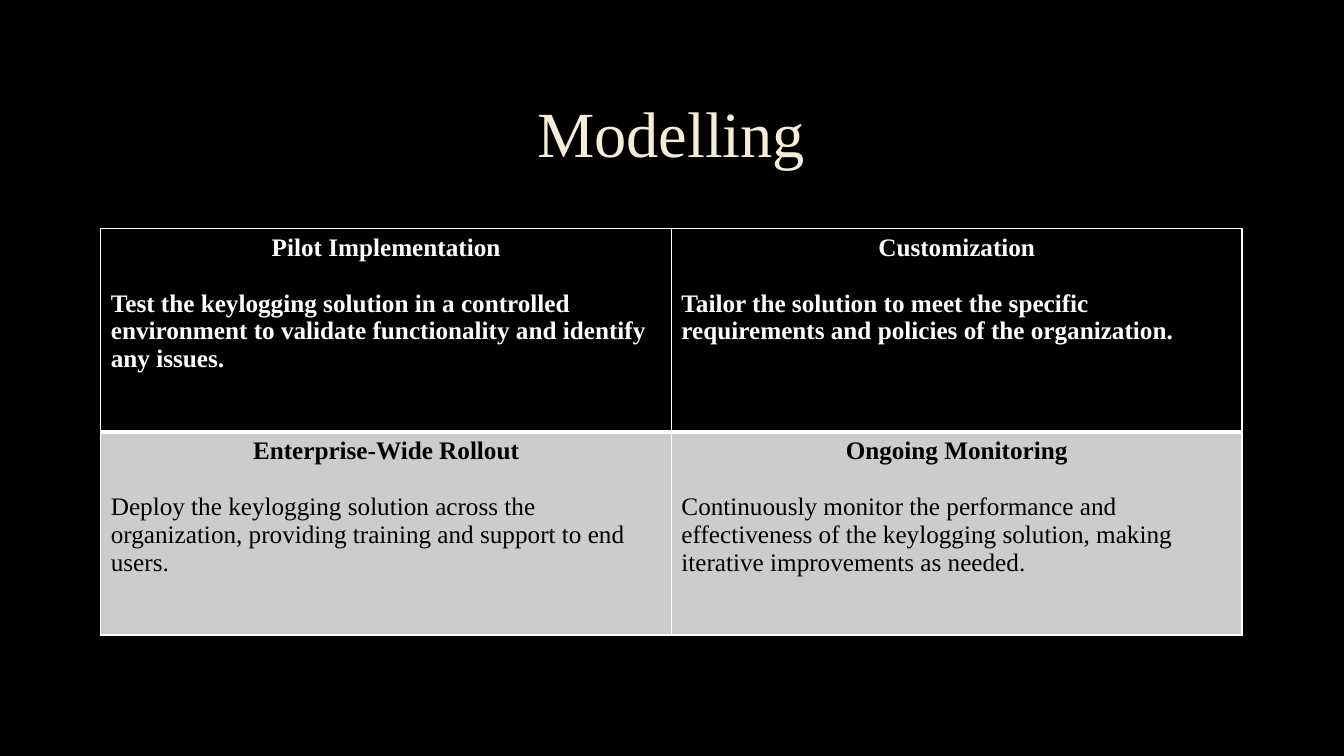
from pptx import Presentation
from pptx.dml.color import RGBColor
from pptx.enum.text import MSO_ANCHOR as Anchor, PP_ALIGN as Align
from pptx.oxml import parse_xml
from pptx.oxml.ns import nsdecls
from pptx.util import Cm, Pt


def color(value):
    return RGBColor.from_string(value)


def add_span(para, text, size, ink, bold=False):
    span = para.add_run()
    span.text = text
    span.font.name = "Times New Roman"
    span.font.size = Pt(size)
    span.font.bold = bold
    span.font.color.rgb = color(ink)
    return span


deck = Presentation()
deck.slide_width, deck.slide_height = Cm(33.87), Cm(19.05)
page = deck.slides.add_slide(deck.slide_layouts[5])
page.background.fill.solid()
page.background.fill.fore_color.rgb = color("000000")

title = page.shapes.title
title.left, title.top, title.width, title.height = Cm(2.54), Cm(1.7), Cm(28.75), Cm(3.5)
title.text_frame.vertical_anchor = Anchor.MIDDLE
title.text_frame.word_wrap = True
para = title.text_frame.paragraphs[0]
para.alignment = Align.CENTER
para.line_spacing = 0.9
span = add_span(para, "Modelling", 46, "F4EDD8")
span.font._element.insert(0, parse_xml(
    f'<a:ln {nsdecls("a")} w="9525"><a:solidFill><a:srgbClr val="404040">'
    '<a:alpha val="10000"/></a:srgbClr></a:solidFill><a:prstDash val="solid"/></a:ln>'))

stages = [
    [("Pilot Implementation",
      "Test the keylogging solution in a controlled environment to validate functionality and identify any issues."),
     ("Customization",
      "Tailor the solution to meet the specific requirements and policies of the organization.")],
    [("Enterprise-Wide Rollout",
      "Deploy the keylogging solution across the organization, providing training and support to end users."),
     ("Ongoing Monitoring",
      "Continuously monitor the performance and effectiveness of the keylogging solution, making iterative improvements as needed.")],
]
row_styles = [
    {"fill": "000000", "ink": "FFFFFF", "bold": True, "borders": {"L": 1, "R": 1, "T": 1, "B": 3}},
    {"fill": "CCCCCC", "ink": "000000", "bold": False, "borders": {"L": 1, "R": 1, "T": 3, "B": 1}},
]

table = page.shapes.add_table(2, 2, Cm(2.54), Cm(5.76), Cm(28.76), Cm(10.24)).table
for column in table.columns:
    column.width = Cm(14.38)
for row in table.rows:
    row.height = Cm(5.12)

for row_index, (row_stages, style) in enumerate(zip(stages, row_styles)):
    for column_index, (heading, detail) in enumerate(row_stages):
        cell = table.cell(row_index, column_index)
        properties = cell._tc.get_or_add_tcPr()
        for side, width in style["borders"].items():
            properties.append(parse_xml(
                f'<a:ln{side} {nsdecls("a")} w="{Pt(width)}"><a:solidFill>'
                f'<a:srgbClr val="FFFFFF"/></a:solidFill></a:ln{side}>'))
        cell.fill.solid()
        cell.fill.fore_color.rgb = color(style["fill"])
        para = cell.text_frame.paragraphs[0]
        para.alignment = Align.CENTER
        para.space_after = Pt(20)
        add_span(para, heading, 18, style["ink"], True)
        para = cell.text_frame.add_paragraph()
        para.alignment = Align.LEFT
        add_span(para, detail, 18, style["ink"], style["bold"])

deck.save("out.pptx")
